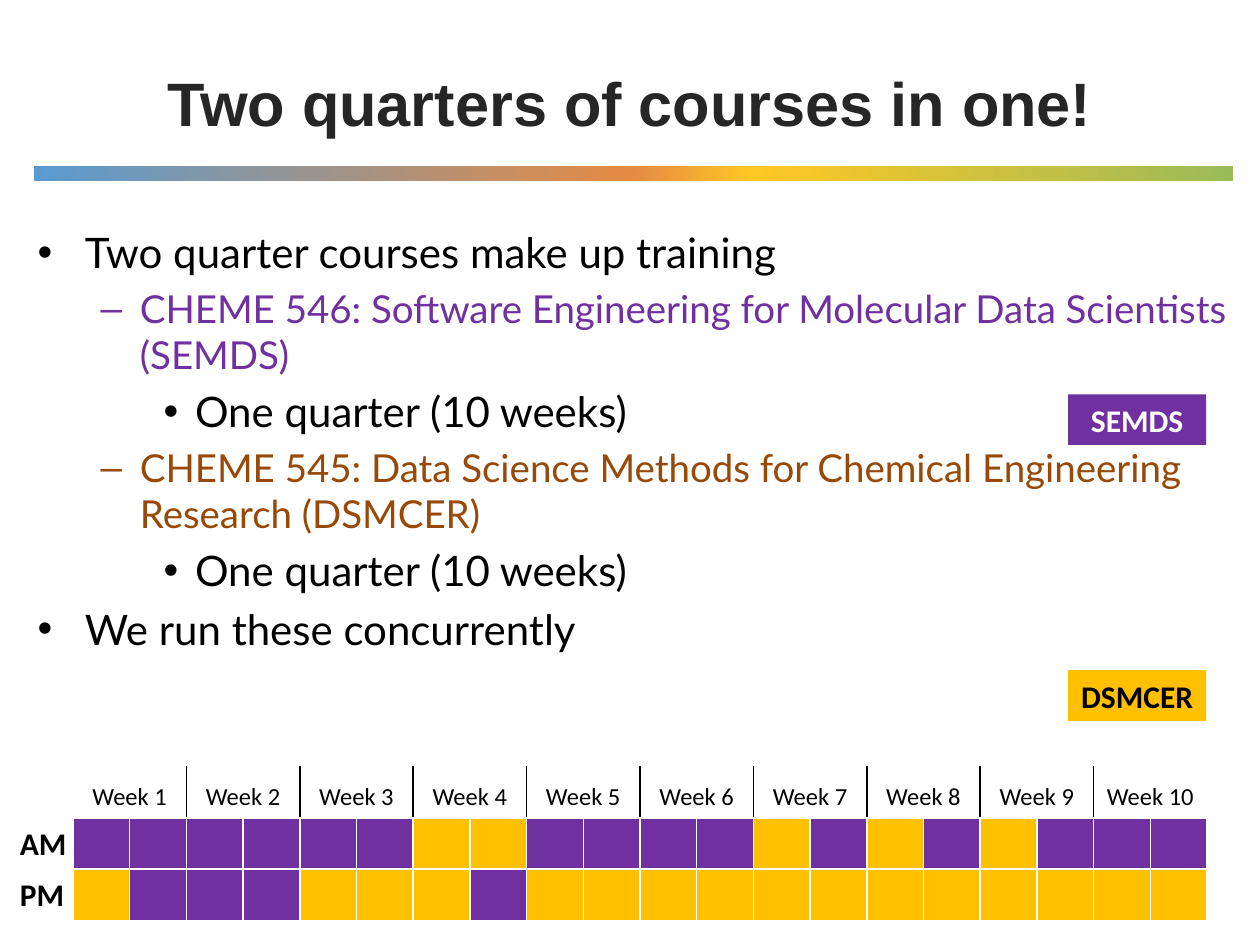
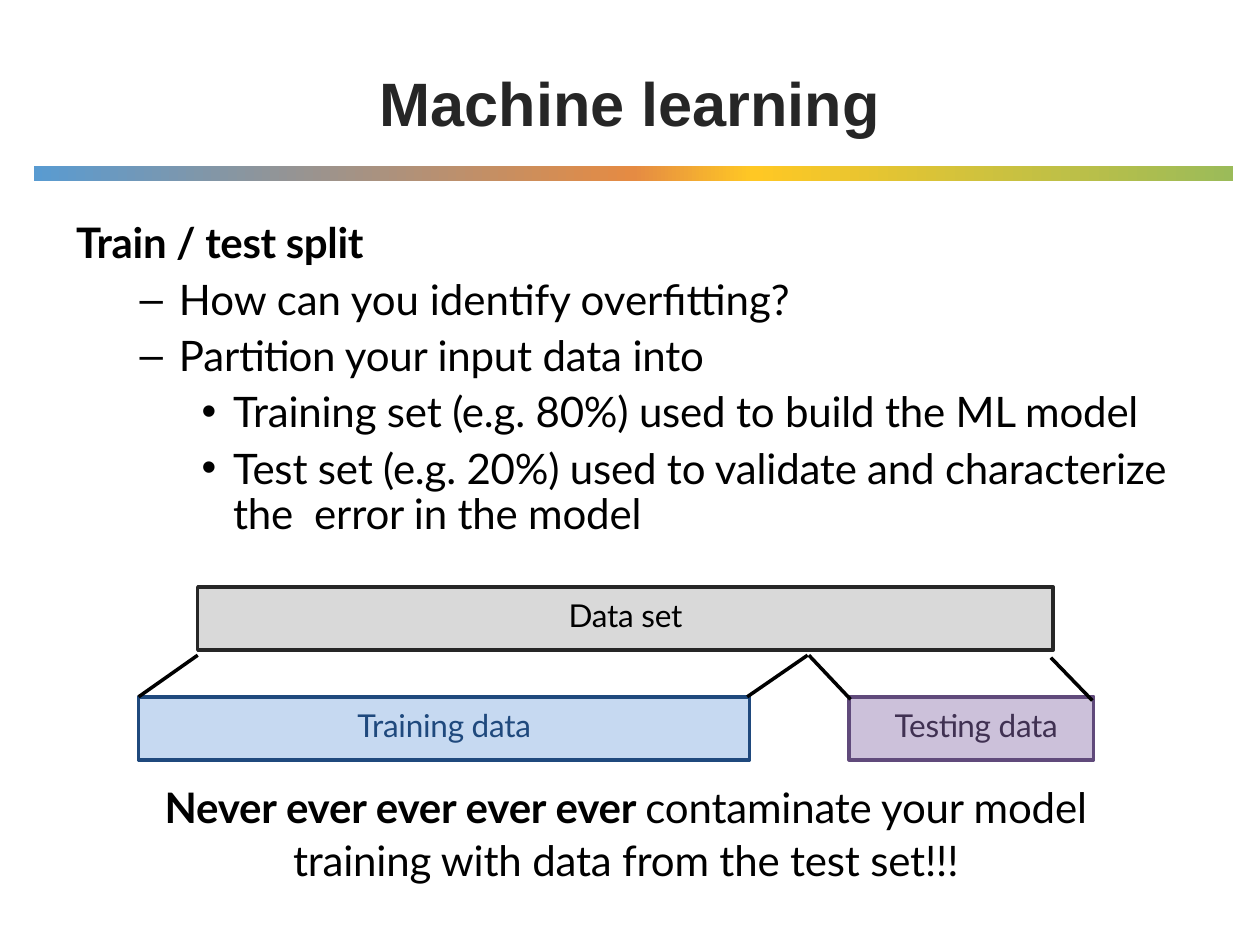
from lxml import etree
from pptx import Presentation
from pptx import util as u
from pptx.dml.color import RGBColor
from pptx.enum import shapes, text
from pptx.oxml.ns import qn

Pt = u.Pt
PURPLE, GOLD, BLACK, WHITE = "7030A0", "FFC000", "000000", "FFFFFF"
BAND_STOPS = {0: "599BD1", 50: "E58B43", 60: "FFC824", 100: "9BBB59"}
LEFT, CENTER = text.PP_ALIGN.LEFT, text.PP_ALIGN.CENTER
TOP, MIDDLE, BOTTOM = text.MSO_ANCHOR.TOP, text.MSO_ANCHOR.MIDDLE, text.MSO_ANCHOR.BOTTOM
TITLE = {"name": "Arial", "size": Pt(35), "bold": True}
BODY = {"name": "Lato", "size": Pt(24)}
COURSE = {"name": "Lato", "size": Pt(22)}
DATA = {"name": "Lato", "size": Pt(18)}
TAG = {"name": "Calibri", "size": Pt(18), "bold": True}
WEEK = {"name": "Calibri", "size": Pt(14)}


def rgb(value):
    """Turn a hex string into a colour."""
    return RGBColor.from_string(value)


def apply(target, values):
    """Set attributes from a dict of format values."""
    for name, value in values.items():
        setattr(target, name, value)


def sub(parent, tag, **attrs):
    """Append a DrawingML element and return it."""
    return etree.SubElement(parent, qn("a:" + tag), attrs)


class Deck:
    """Holds the style and the current slide."""

    def __init__(self):
        """Start a 4:3 presentation."""
        self.prs = Presentation()
        apply(self.prs, {"slide_width": Pt(720), "slide_height": Pt(540)})
        self.slide = None

    def new_slide(self, heading):
        """Add a slide with its band and title."""
        self.slide = self.prs.slides.add_slide(self.prs.slide_layouts[5])
        band = self.block((19.4, 95, 685.4, 8.6), BLACK)
        band.fill.gradient()
        band.fill.gradient_angle = 0
        stops = band._element.spPr.find(qn("a:gradFill")).find(qn("a:gsLst"))
        for stop in list(stops):
            stops.remove(stop)
        for percent, color in BAND_STOPS.items():
            sub(sub(stops, "gs", pos=str(percent * 1000)), "srgbClr", val=color)
        title = self.slide.shapes.title
        apply(title, dict(zip(("left", "top", "width", "height"), map(Pt, (36, 21.6, 648, 73.4)))))
        apply(title.text_frame, {"vertical_anchor": MIDDLE, "word_wrap": True,
                                 "auto_size": text.MSO_AUTO_SIZE.NONE})
        self.compose(title.text_frame.paragraphs[0], heading, TITLE, "262626", align=CENTER)

    def compose(self, paragraph, words, font, color=BLACK, align=LEFT, bullet=None,
                indent=(0, 0), spacing=None, track=0):
        """Fill a paragraph; words is a string or a list of (words, bold) runs."""
        props = paragraph._p.get_or_add_pPr()
        props.set("marL", str(Pt(indent[0])))
        props.set("indent", str(Pt(indent[1])))
        if bullet:
            sub(props, "buFont", typeface="Arial")
            sub(props, "buChar", char=bullet)
        apply(paragraph, {"alignment": align, **(spacing or {})})
        runs = [(words, font.get("bold", False))] if isinstance(words, str) else words
        for part, bold in runs:
            run = paragraph.add_run()
            run.text = part
            apply(run.font, {**font, "bold": bold})
            run.font.color.rgb = rgb(color)
            if track:
                run._r.get_or_add_rPr().set("spc", str(track))

    def text(self, place, paragraphs, margins=(7.2, 3.6), wrap=True):
        """Add a text box from a list of paragraph formats."""
        frame = self.slide.shapes.add_textbox(*map(Pt, place)).text_frame
        self.frame(frame, margins, TOP, wrap)
        for index, entry in enumerate(paragraphs):
            paragraph = frame.add_paragraph() if index else frame.paragraphs[0]
            self.compose(paragraph, **entry)

    def frame(self, frame, margins, anchor, wrap):
        """Set the margins, anchor and wrapping of a text frame."""
        side, edge = map(Pt, margins)
        apply(frame, {"margin_left": side, "margin_right": side, "margin_top": edge,
                      "margin_bottom": edge, "vertical_anchor": anchor, "word_wrap": wrap})

    def block(self, place, fill, line=None, margins=(0, 5), anchor=TOP, **label):
        """Add a filled rectangle with an optional label."""
        block = self.slide.shapes.add_shape(shapes.MSO_SHAPE.RECTANGLE, *map(Pt, place))
        block.shadow.inherit = False
        block.fill.solid()
        block.fill.fore_color.rgb = rgb(fill)
        if line:
            block.line.color.rgb = rgb(line)
            block.line.width = Pt(2)
        else:
            block.line.fill.background()
        if label:
            self.frame(block.text_frame, margins, anchor, True)
            self.compose(block.text_frame.paragraphs[0], **label)
        return block

    def line(self, start, end):
        """Draw a black straight line."""
        line = self.slide.shapes.add_connector(shapes.MSO_CONNECTOR.STRAIGHT, *map(Pt, start + end))
        line.line.color.rgb = rgb(BLACK)
        line.line.width = Pt(2)
        sub(line._element.spPr, "effectLst")

    def cell(self, cell, left=WHITE, right=WHITE, fill=None):
        """Give a table cell its borders and fill."""
        props = cell._tc.get_or_add_tcPr()
        for side, color in zip("LRTB", (left, right, WHITE, WHITE)):
            border = sub(props, "ln" + side, w=str(Pt(1)))
            sub(sub(border, "solidFill"), "srgbClr", val=color)
        if fill:
            cell.fill.solid()
            cell.fill.fore_color.rgb = rgb(fill)
        else:
            cell.fill.background()

    def schedule(self, place, weeks, halves):
        """Add the week table; each letter of a half is S (SEMDS) or D (DSMCER)."""
        table = self.slide.shapes.add_table(1 + len(halves), 2 * weeks, *map(Pt, place)).table
        apply(table, {"first_row": False, "horz_banding": False})
        for column in table.columns:
            column.width = Pt(place[2] / (2 * weeks))
        for row in table.rows:
            row.height = Pt(place[3] / (1 + len(halves)))
        for week in range(weeks):
            pair = [table.cell(0, 2 * week + half) for half in (0, 1)]
            for cell in pair:
                self.cell(cell, BLACK if week else WHITE, BLACK if week < weeks - 1 else WHITE)
            pair[0].merge(pair[1])
            apply(pair[0], {"vertical_anchor": BOTTOM, "margin_left": Pt(3), "margin_right": Pt(3)})
            self.compose(pair[0].text_frame.paragraphs[0], f"Week {week + 1}", WEEK, align=CENTER)
        for row, letters in enumerate(halves, 1):
            for column, letter in enumerate(letters):
                self.cell(table.cell(row, column), fill={"S": PURPLE, "D": GOLD}[letter])


def item(words, level, indent, font=BODY, before=0.0, **more):
    """Describe a bulleted paragraph of a level."""
    spacing = {"space_before": Pt(before), **more.pop("spacing", {})}
    return {"words": words, "font": font, "bullet": "•–•"[level], "indent": indent,
            "spacing": spacing, **more}


def courses(deck):
    """Build the slide on the two courses."""
    deck.new_slide("Two quarters of courses in one!")
    main_point, course, length = (27, -27), (58.5, -22.5), (90, -18)
    duration = item("One quarter (10 weeks)", 2, length, before=4.8)
    deck.text((14.4, 126, 705.6, 398), [
        item("Two quarter courses make up training", 0, main_point),
        item("CHEME 546: Software Engineering for Molecular Data Scientists (SEMDS)",
             1, course, COURSE, 4.4, color=PURPLE),
        duration,
        item("CHEME 545: Data Science Methods for Chemical Engineering Research (DSMCER)",
             1, course, COURSE, 4.4, color="984807"),
        duration,
        item("We run these concurrently", 0, main_point, before=4.8),
    ])
    for name, top, fill, color in (("SEMDS", 225.3, PURPLE, WHITE), ("DSMCER", 383, GOLD, BLACK)):
        deck.block((610.3, top, 79, 29), fill, margins=(3, 3.6), anchor=MIDDLE,
                   words=name, font=TAG, color=color, align=CENTER)
    deck.schedule((41.7, 438.3, 648, 87.6), 10, ("SSSSSSDDSSSSDSDSDSSS", "DSSSDDDSDDDDDDDDDDDD"))
    for name, top in (("AM", 467.5), ("PM", 496.7)):
        deck.text((4.3, top, 42, 29), [{"words": name, "font": TAG}], wrap=False)


def machine_learning(deck):
    """Build the slide on the train / test split."""
    deck.new_slide("Machine learning")
    point, detail = (59.8, -22.5), (90.7, -18)
    deck.text((42.5, 118.8, 631.4, 190.8), [
        {"words": [("Train / test split", True)], "font": BODY, "indent": (1, 0), "track": -20},
        item("How can you identify overfitting?", 1, point, before=3.6),
        item("Partition your input data into", 1, point, before=3.4, track=-10),
        item("Training set (e.g. 80%) used to build the ML model", 2, detail, before=3, track=-10),
        item("Test set (e.g. 20%) used to validate and characterize the  error in the model",
             2, detail, before=6.7, track=-10, spacing={"line_spacing": Pt(25.7)}),
    ], margins=(0, 5))
    deck.text((71.3, 440, 572.4, 65.5), [
        {"words": [("Never ever ever ever ever ", True),
                   ("contaminate your model training with data from the test set!!!", False)],
         "font": BODY, "align": CENTER, "track": -10, "spacing": {"line_spacing": Pt(30.3)}},
    ], margins=(0, 5))
    for name, place, fill, line, color, layout in (
        ("Data set", (113, 335.5, 488.9, 36), "D9D9D9", "262626", BLACK, {"align": CENTER}),
        ("Training data", (79.2, 398.2, 349.2, 36), "C6D9F1", "1F497D", "1F497D", {"align": CENTER}),
        ("Testing data", (485.3, 398.2, 139.7, 36), "CCC1DA", "604A7B", "403152", {"indent": (26, 0)}),
    ):
        deck.block(place, fill, line, words=name, font=DATA, color=color, track=-15, **layout)
    for start, end in (((113, 374.4), (79.2, 398.2)), ((600.5, 375.8), (624.2, 400.3)),
                       ((462.2, 374.4), (486, 399.6)), ((461.5, 374.4), (427, 398.2))):
        deck.line(start, end)


def main():
    """Build and save the slides."""
    deck = Deck()
    courses(deck)
    machine_learning(deck)
    deck.prs.save("out.pptx")


if __name__ == "__main__":
    main()
